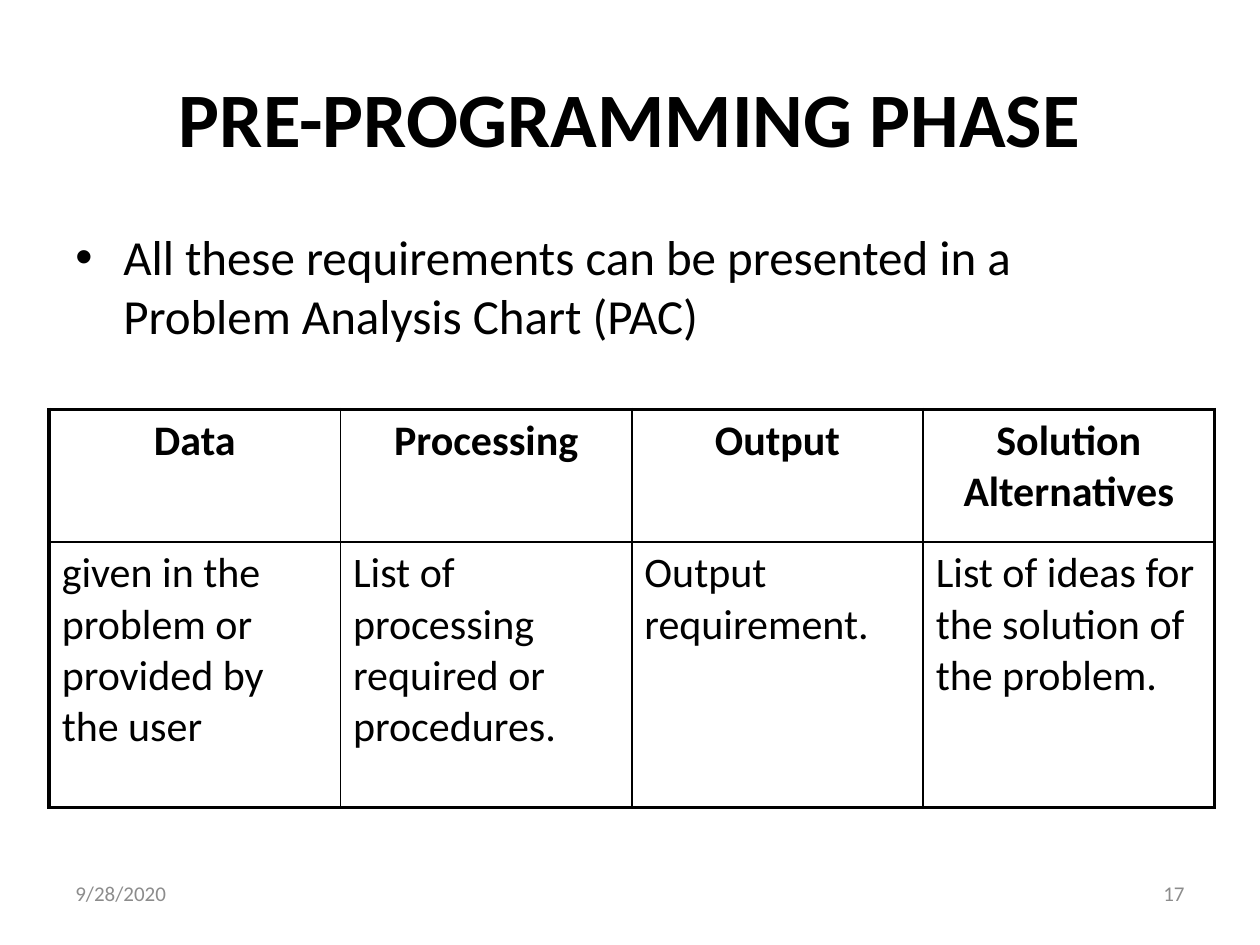
from dataclasses import dataclass

from lxml import etree
from pptx import Presentation
from pptx.dml.color import RGBColor
from pptx.enum.text import MSO_ANCHOR, PP_ALIGN
from pptx.oxml.ns import qn
from pptx.util import Pt

LEFT, CENTER, RIGHT = PP_ALIGN.LEFT, PP_ALIGN.CENTER, PP_ALIGN.RIGHT
TOP, MIDDLE = MSO_ANCHOR.TOP, MSO_ANCHOR.MIDDLE
TITLE_ONLY = 5
EMU_PER_PX = 9144


@dataclass(frozen=True)
class Theme:
    font: str = "Calibri"
    ink: str = "000000"
    muted: str = "8C8C8C"
    title: int = 44
    body: int = 28
    cell: int = 24
    footer: int = 12
    outer_line: float = 2.25
    inner_line: float = 1


THEME = Theme()
HEADERS = ["Data", "Processing", "Output", "Solution Alternatives"]
DETAILS = [
    "given in the problem or provided by the user",
    "List of processing required or procedures.",
    "Output requirement.",
    "List of ideas for the solution of the problem.",
]
ROW_HEIGHTS = [105, 211]


def px(length):
    return length * EMU_PER_PX


def write(frame, text, size, color=THEME.ink, align=LEFT, bold=False):
    frame.word_wrap = True
    frame.text = text
    para = frame.paragraphs[0]
    para.alignment = align
    for span in para.runs:
        span.font.name = THEME.font
        span.font.size = Pt(size)
        span.font.bold = bold
        span.font.color.rgb = RGBColor.from_string(color)
    return para


def add_title(page, box, text):
    title = page.shapes.title
    title.left, title.top, title.width, title.height = map(px, box)
    title.text_frame.vertical_anchor = MIDDLE
    write(title.text_frame, text, THEME.title, align=CENTER, bold=True)


def add_text(page, box, text, size, color=THEME.ink, align=LEFT, anchor=TOP):
    frame = page.shapes.add_textbox(*map(px, box)).text_frame
    frame.vertical_anchor = anchor
    return write(frame, text, size, color, align)


def add_bullet(page, box, text):
    para = add_text(page, box, text, THEME.body)
    properties = para._p.get_or_add_pPr()
    properties.set("marL", str(px(38)))
    properties.set("indent", str(px(-38)))
    etree.SubElement(properties, qn("a:buFont"), typeface="Arial")
    etree.SubElement(properties, qn("a:buChar"), char="•")


def set_borders(cell, widths):
    properties = cell._tc.get_or_add_tcPr()
    for index, (side, width) in enumerate(widths.items()):
        line = etree.Element(qn(f"a:ln{side}"), w=str(Pt(width)))
        fill = etree.SubElement(line, qn("a:solidFill"))
        etree.SubElement(fill, qn("a:srgbClr"), val=THEME.ink)
        properties.insert(index, line)


def add_chart_table(page, box, rows):
    row_count, column_count = len(rows), len(rows[0])
    table = page.shapes.add_table(row_count, column_count, *map(px, box)).table
    table.first_row = table.horz_banding = False
    for column in table.columns:
        column.width = px(box[2]) // column_count
    for row, height in zip(table.rows, ROW_HEIGHTS):
        row.height = px(height)
    for r, texts in enumerate(rows):
        for c, text in enumerate(texts):
            cell = table.cell(r, c)
            header = r == 0
            cell.fill.background()
            write(cell.text_frame, text, THEME.cell,
                  align=CENTER if header else LEFT, bold=header)
            on_edge = {"L": c == 0, "R": c == column_count - 1,
                       "T": header, "B": r == row_count - 1}
            set_borders(cell, {
                side: THEME.outer_line if edge else THEME.inner_line
                for side, edge in on_edge.items()
            })


def add_footer(page, box, date, number):
    left, top, width, height = box
    part = 233
    for x, text, align in [(left, date, LEFT), (left + width - part, number, RIGHT)]:
        add_text(page, (x, top, part, height), text, THEME.footer,
                 THEME.muted, align, MIDDLE)


def main():
    deck = Presentation()
    deck.slide_width, deck.slide_height = px(1000), px(750)
    page = deck.slides.add_slide(deck.slide_layouts[TITLE_ONLY])
    add_title(page, (50, 30, 900, 125), "PRE-PROGRAMMING PHASE")
    add_bullet(page, (50, 175, 858, 125),
               "All these requirements can be presented in a Problem Analysis Chart (PAC)")
    add_chart_table(page, (39, 325, 925, sum(ROW_HEIGHTS)), [HEADERS, DETAILS])
    add_footer(page, (50, 683, 900, 52), "9/28/2020", "17")
    deck.save("out.pptx")


if __name__ == "__main__":
    main()
